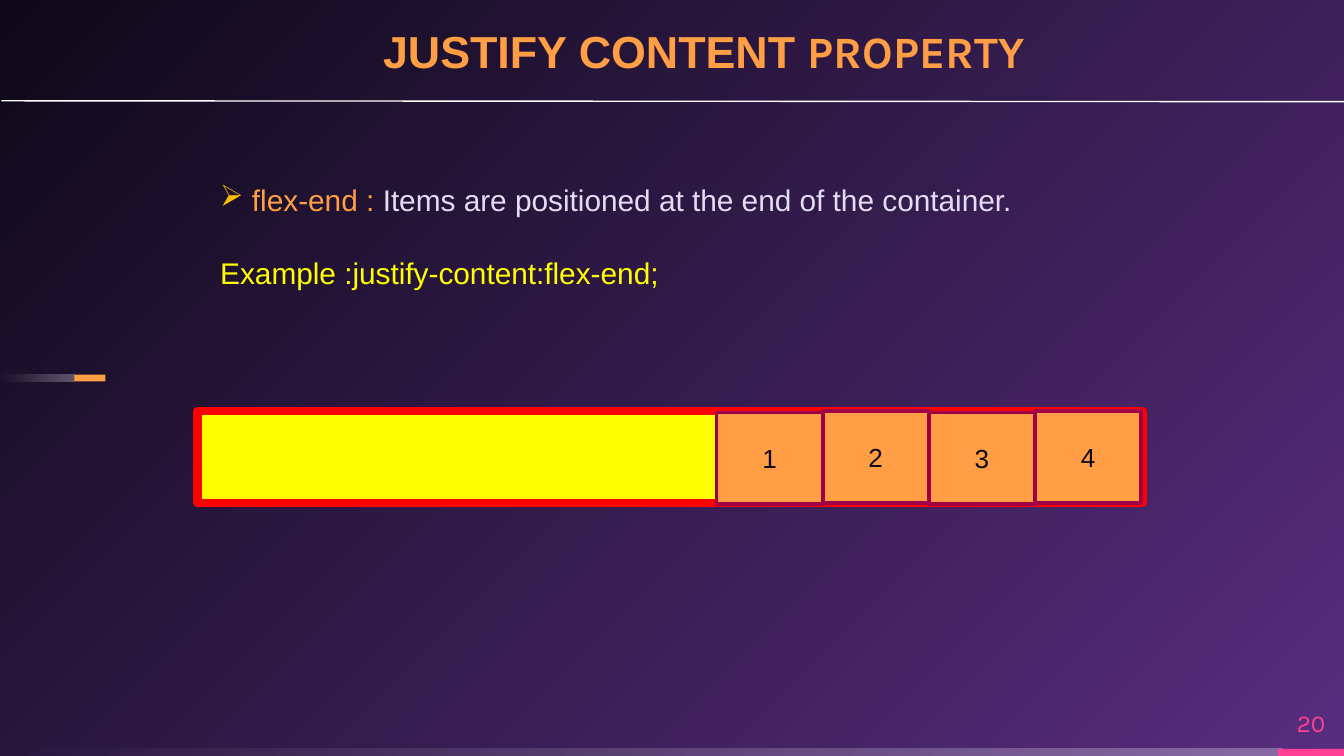
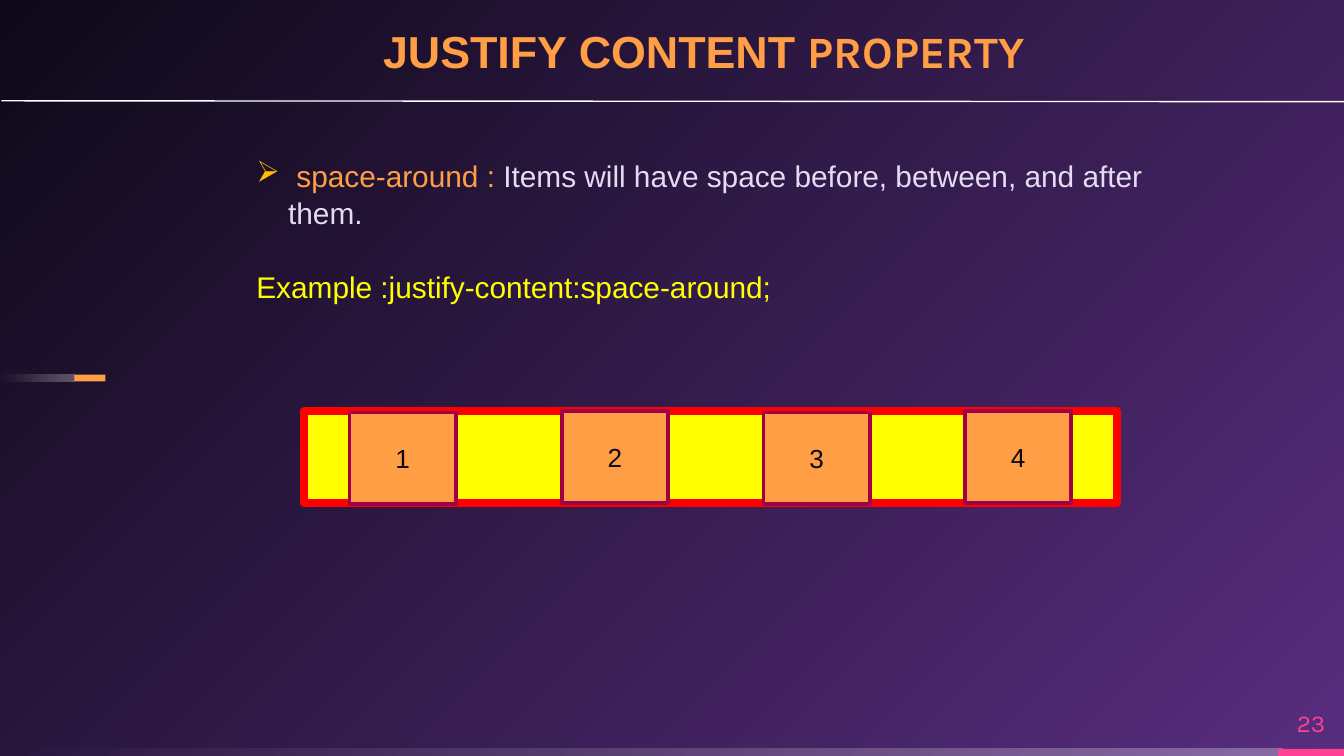
from lxml import etree
from pptx import Presentation
from pptx.dml.color import RGBColor
from pptx.enum.shapes import MSO_CONNECTOR, MSO_SHAPE
from pptx.enum.text import MSO_ANCHOR, MSO_AUTO_SIZE, PP_ALIGN
from pptx.oxml.ns import qn
from pptx.util import Pt

RECTANGLE, PROCESS = MSO_SHAPE.RECTANGLE, MSO_SHAPE.FLOWCHART_PROCESS
STRAIGHT = MSO_CONNECTOR.STRAIGHT
LEFT, CENTER = PP_ALIGN.LEFT, PP_ALIGN.CENTER
MIDDLE, BOTTOM = MSO_ANCHOR.MIDDLE, MSO_ANCHOR.BOTTOM
NO_AUTOFIT = MSO_AUTO_SIZE.NONE

WHITE = RGBColor(0xFF, 0xFF, 0xFF)
NIGHT = RGBColor(0x0E, 0x09, 0x18)
PURPLE = RGBColor(0x57, 0x2D, 0x7E)
LAVENDER = RGBColor(0xE4, 0xDC, 0xF2)
ORANGE = RGBColor(0xFF, 0x9E, 0x44)
PINK = RGBColor(0xFF, 0x40, 0x93)
YELLOW = RGBColor(0xFF, 0xFF, 0x00)
GOLD = RGBColor(0xFF, 0xC0, 0x00)
RED = RGBColor(0xFF, 0x00, 0x00)
MAROON = RGBColor(0xA0, 0x00, 0x45)

TITLE_FORMAT = {"size": Pt(24), "bold": True}
BODY_FORMAT = {"size": Pt(16), "name": "Arial"}
ITEM_FORMAT = {"size": Pt(14), "name": "Arial"}
NUMBER_FORMAT = {"size": Pt(13), "name": "Karla"}

TITLE = [("JUSTIFY CONTENT ", "Arial"), ("PROPERTY", "Karla")]
ITEMS = ["1", "2", "3", "4"]
ITEM_WIDTH, ITEM_HEIGHT = 56.9, 49
ITEM_TOPS = (221, 220.3)
BULLET_INDENT = 17

SLIDES = [
    {
        "number": "20",
        "text_box": (110.9, 92.9, 500.4, 85),
        "meaning": [("flex-end : ", ORANGE),
                    ("Items are positioned at the end of the container.", LAVENDER)],
        "example": "Example :justify-content:flex-end;",
        "container": (105.8, 506.2),
        "item_lefts": [383.8 + ITEM_WIDTH * i for i in range(len(ITEMS))],
    },
    {
        "number": "23",
        "text_box": (130.3, 79.9, 499.7, 85),
        "meaning": [(" ", LAVENDER), ("space-around : ", ORANGE),
                    ("Items will have space before, between, and after them.", LAVENDER)],
        "example": "Example :justify-content:space-around;",
        "container": (162.7, 435.6),
        "item_lefts": [187.2] + [301 + 108 * i for i in range(len(ITEMS) - 1)],
    },
]


def points(values):
    return [Pt(value) for value in values]


def add_span(para, text, color, formats):
    span = para.add_run()
    span.text = text
    for name, value in formats.items():
        setattr(span.font, name, value)
    span.font.color.rgb = color


def set_frame(frame, **settings):
    for name, value in {"word_wrap": True, "auto_size": NO_AUTOFIT, **settings}.items():
        setattr(frame, name, value)


def no_insets():
    return {f"margin_{side}": 0 for side in ("left", "right", "top", "bottom")}


def add_block(page, kind, bounds, fill, line=None, width=0):
    block = page.shapes.add_shape(kind, *points(bounds))
    block.shadow.inherit = False
    if fill is not None:
        block.fill.solid()
        block.fill.fore_color.rgb = fill
    if line is None:
        block.line.fill.background()
    else:
        block.line.color.rgb = line
        block.line.width = Pt(width)
    return block


def set_gradient(fill, first, last):
    fill.gradient()
    for stop, color, position in zip(fill.gradient_stops, (first, last), (0, 1)):
        stop.color.rgb = color
        stop.position = position


def add_fading_bar(page, bounds):
    bar = add_block(page, RECTANGLE, bounds, None)
    set_gradient(bar.fill, WHITE, WHITE)
    bar.fill.gradient_angle = 180
    stops = bar._element.spPr.find(qn("a:gradFill")).iter(qn("a:srgbClr"))
    for color, opacity in zip(stops, (30, 0)):
        etree.SubElement(color, qn("a:alpha"), val=str(opacity * 1000))


def add_background(page):
    set_gradient(page.background.fill, PURPLE, NIGHT)
    gradient = next(page._element.iter(qn("a:gradFill")))
    gradient.remove(gradient.find(qn("a:lin")))
    circle = etree.SubElement(gradient, qn("a:path"), path="circle")
    etree.SubElement(circle, qn("a:fillToRect"), l="100000", t="100000")


def add_frame(page, number):
    add_background(page)
    add_fading_bar(page, (0, 401.2, 686.9, 3.8))
    add_block(page, RECTANGLE, (684.7, 401.2, 35.3, 3.8), PINK)
    add_fading_bar(page, (0, 200.7, 40, 3.6))
    add_block(page, RECTANGLE, (39.8, 200.7, 16.7, 3.6), ORANGE)

    box = page.shapes.add_textbox(*points((684.7, 373.7, 35.3, 27.4)))
    set_frame(box.text_frame, vertical_anchor=MIDDLE, **no_insets())
    para = box.text_frame.paragraphs[0]
    para.alignment = CENTER
    add_span(para, number, PINK, NUMBER_FORMAT)

    title = page.shapes.title
    title.left, title.top, title.width, title.height = points((205.2, 10.8, 411.1, 31))
    set_frame(title.text_frame, vertical_anchor=BOTTOM, **no_insets())
    para = title.text_frame.paragraphs[0]
    para.alignment = LEFT
    para.line_spacing = 0.9
    for text, font in TITLE:
        add_span(para, text, ORANGE, {**TITLE_FORMAT, "name": font})

    rule = page.shapes.add_connector(STRAIGHT, *points((0.7, 54, 730, 54.5)))
    rule.line.color.rgb = WHITE
    rule.line.width = Pt(0.75)
    etree.SubElement(rule._element.spPr, qn("a:effectLst"))


def add_bullet(para):
    properties = para._p.get_or_add_pPr()
    properties.set("marL", str(Pt(BULLET_INDENT)))
    properties.set("indent", str(-Pt(BULLET_INDENT)))
    color = etree.SubElement(properties, qn("a:buClr"))
    etree.SubElement(color, qn("a:srgbClr"), val=str(GOLD))
    etree.SubElement(properties, qn("a:buChar"), char="➢")


def add_explanation(page, bounds, meaning, example):
    frame = page.shapes.add_textbox(*points(bounds)).text_frame
    set_frame(frame)
    first, second = frame.paragraphs[0], frame.add_paragraph()
    add_bullet(first)
    for text, color in meaning:
        add_span(first, text, color, BODY_FORMAT)
    add_span(second, example, YELLOW, BODY_FORMAT)
    second.space_before = Pt(19.2)
    for para in (first, second):
        para.line_spacing = 1.05


def add_flex_row(page, container, lefts):
    left, width = container
    add_block(page, PROCESS, (left, 220.3, width, ITEM_HEIGHT), YELLOW, RED, 4.5)
    for index, (label, item_left) in enumerate(zip(ITEMS, lefts)):
        bounds = (item_left, ITEM_TOPS[index % 2], ITEM_WIDTH, ITEM_HEIGHT)
        item = add_block(page, PROCESS, bounds, ORANGE, MAROON, 2)
        set_frame(item.text_frame, vertical_anchor=MIDDLE)
        para = item.text_frame.paragraphs[0]
        para.alignment = CENTER
        add_span(para, label, NIGHT, ITEM_FORMAT)


def main():
    deck = Presentation()
    deck.slide_width, deck.slide_height = Pt(720), Pt(405)
    for content in SLIDES:
        page = deck.slides.add_slide(deck.slide_layouts[5])
        add_frame(page, content["number"])
        add_explanation(page, content["text_box"], content["meaning"], content["example"])
        add_flex_row(page, content["container"], content["item_lefts"])
    deck.save("out.pptx")


if __name__ == "__main__":
    main()
